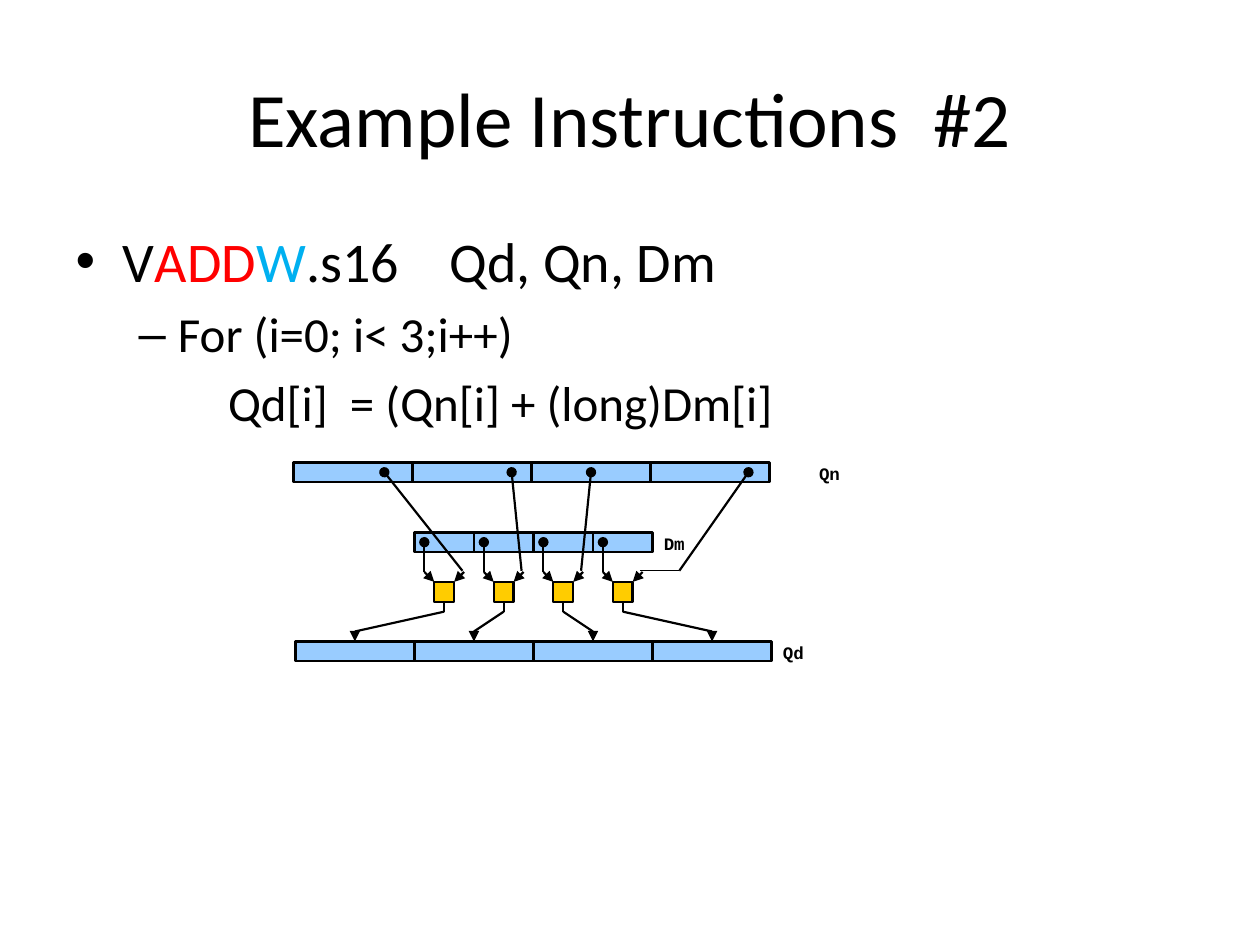
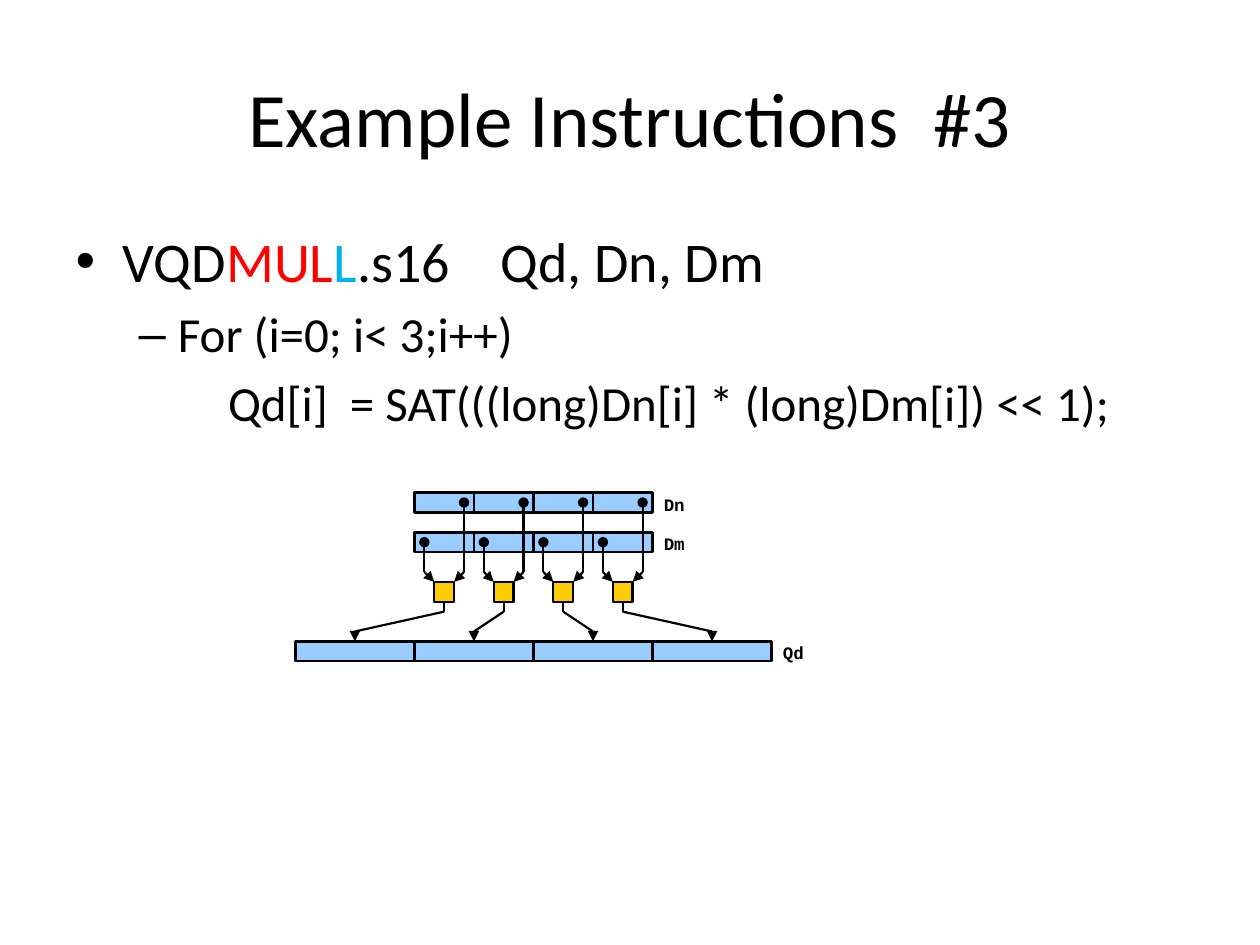
from lxml import etree
from pptx import Presentation
from pptx import util as u
from pptx.dml.color import RGBColor
from pptx.enum import shapes, text
from pptx.oxml import ns

BLACK = RGBColor(0x00, 0x00, 0x00)
RED = RGBColor(0xFF, 0x00, 0x00)
CYAN = RGBColor(0x00, 0xB0, 0xF0)
REGISTER_BLUE = RGBColor(0x99, 0xCC, 0xFF)
OPERATOR_GOLD = RGBColor(0xFF, 0xCC, 0x00)

HEADING_FONT = "Calibri"
CODE_FONT = "Courier New"

# The slide is 127 columns wide; rows are as high as columns are wide.
COLUMNS = 127
TITLE_AREA = (6.35, 3.81, 114.3, 15.88)
BODY_AREA = (6.35, 22.23, 114.3, 62.87)
DIAGRAM_LEFT, DIAGRAM_TOP = 29.77, 49.65

# Diagram measures, counted from the diagram's own corner
LANES = 4
NARROW, WIDE, HEIGHT = 6, 12, 2
NARROW_LEFT = 12
DN_ROW, DM_ROW, OPERATOR_ROW, QD_ROW = 0, 4, 9, 15
QN_LEFT, QN_ROW = -0.2, -3.05


def add_text(paragraph, content, font=HEADING_FONT, size=28, color=BLACK, bold=False):
    run = paragraph.add_run()
    run.text = content
    run.font.name = font
    run.font.size = u.Pt(size)
    run.font.color.rgb = color
    run.font.bold = bold


class Deck:
    """Holds the shared style and the slide being built."""

    def __init__(self):
        self.presentation = Presentation()
        self.presentation.slide_width = u.Inches(10)
        self.presentation.slide_height = u.Inches(7.5)
        self.unit = self.presentation.slide_width / COLUMNS
        self.slide = None

    def lengths(self, *cells):
        return [round(cell * self.unit) for cell in cells]

    def place(self, column, row):
        return self.lengths(DIAGRAM_LEFT + column, DIAGRAM_TOP + row)

    def move(self, shape, area):
        shape.left, shape.top, shape.width, shape.height = self.lengths(*area)

    def add_slide(self, title):
        layout = self.presentation.slide_layouts[1]
        self.slide = self.presentation.slides.add_slide(layout)
        shape = self.slide.shapes.title
        self.move(shape, TITLE_AREA)
        shape.text_frame.vertical_anchor = text.MSO_ANCHOR.MIDDLE
        paragraph = shape.text_frame.paragraphs[0]
        paragraph.alignment = text.PP_ALIGN.CENTER
        add_text(paragraph, title, size=44)

    def body(self, mnemonic, loop, statement):
        shape = self.slide.placeholders[1]
        self.move(shape, BODY_AREA)
        frame = shape.text_frame
        for content, color in mnemonic:
            add_text(frame.paragraphs[0], content, size=32, color=color)
        for content in (loop, statement):
            paragraph = frame.add_paragraph()
            paragraph.level = 1
            add_text(paragraph, content)
        # The statement is indented under the loop and has no bullet.
        properties = paragraph._p.get_or_add_pPr()
        properties.set("marL", str(u.Inches(1.21)))
        properties.set("indent", "0")
        etree.SubElement(properties, ns.qn("a:buNone"))

    def box(self, column, row, width, fill=REGISTER_BLUE, weight=1.5):
        shape = self.slide.shapes.add_shape(
            shapes.MSO_SHAPE.RECTANGLE, *self.place(column, row), *self.lengths(width, HEIGHT))
        shape.shadow.inherit = False
        shape.fill.solid()
        shape.fill.fore_color.rgb = fill
        shape.line.color.rgb = BLACK
        shape.line.width = u.Pt(weight)
        return shape

    def label(self, content, column, row):
        shape = self.slide.shapes.add_textbox(*self.place(column, row), *self.lengths(4.8, 2.8))
        frame = shape.text_frame
        frame.word_wrap = True
        frame.auto_size = text.MSO_AUTO_SIZE.SHAPE_TO_FIT_TEXT
        frame.margin_left = frame.margin_right = u.Inches(0.09)
        frame.margin_top = frame.margin_bottom = u.Inches(0.04)
        paragraph = frame.paragraphs[0]
        paragraph.line_spacing = 0.8
        add_text(paragraph, content, font=CODE_FONT, size=10, bold=True)

    def register(self, name, column, row, width, label_column=None):
        cells = [self.box(column + lane * width, row, width) for lane in range(LANES)]
        if label_column is None:
            label_column = column + LANES * width
        self.label(name, label_column, row)
        return cells

    def line(self, start, end, head=None, tail=None, weight=1.25):
        connector = self.slide.shapes.add_connector(
            shapes.MSO_CONNECTOR.STRAIGHT, *self.place(*start), *self.place(*end))
        connector.line.color.rgb = BLACK
        connector.line.width = u.Pt(weight)
        outline = connector.line._get_or_add_ln()
        for tag, kind in (("a:headEnd", head), ("a:tailEnd", tail)):
            if kind:
                etree.SubElement(outline, ns.qn(tag), type=kind)
        etree.SubElement(connector._element.spPr, ns.qn("a:effectLst"))
        return connector

    def lanes(self):
        """Draws Dm, the operators, Qd and the lines that every lane has."""
        self.register("Dm", NARROW_LEFT, DM_ROW, NARROW)
        results = self.register("Qd", 0, QD_ROW, WIDE)
        for lane, result in enumerate(results):
            left = NARROW_LEFT + 2 + lane * NARROW
            center, target = left + 1, WIDE * (lane + 0.5)
            operator = self.box(left, OPERATOR_ROW, HEIGHT, OPERATOR_GOLD, 1.25)
            # Inputs
            self.line((left - 1, DM_ROW + 1), (left - 1, 8), head="oval")
            self.line((left - 1, 8), (left, OPERATOR_ROW), tail="triangle")
            self.line((left + 3, 8), (left + 2, OPERATOR_ROW), tail="triangle")
            # Output
            self.line((center, 11), (center, 12)).begin_connect(operator, 2)
            self.line((center, 12), (target, 14))
            self.line((target, 14), (target, QD_ROW), tail="triangle").end_connect(result, 0)


def build_wide_add(deck):
    deck.add_slide("Example Instructions  #2")
    deck.body([("V", BLACK), ("ADD", RED), ("W", CYAN), (".s16    Qd, Qn, Dm", BLACK)],
              "For (i=0; i< 3;i++)", "Qd[i]  = (Qn[i] + (long)Dm[i]")
    deck.register("Qn", QN_LEFT, QN_ROW, WIDE, label_column=51.64)
    deck.lanes()
    # Wide operand lines; the last one bends into its operator
    bend_row = 7.88
    for start, end in ((8.97, 16.84), (21.8, 22.8), (29.8, 28.8), (45.67, 38.7)):
        deck.line((start, QN_ROW + 1), (end, bend_row), head="oval")
    deck.line((34.75, bend_row), (38.7, bend_row), weight=0.75)


def build_long_multiply(deck):
    deck.add_slide("Example Instructions  #3")
    deck.body([("VQD", BLACK), ("MUL", RED), ("L", CYAN), (".s16    Qd, Dn, Dm", BLACK)],
              "For (i=0; i< 3;i++)", "Qd[i]  = SAT(((long)Dn[i] * (long)Dm[i]) << 1);")
    deck.register("Dn", NARROW_LEFT, DN_ROW, NARROW)
    deck.lanes()
    # Second narrow operand
    for lane in range(LANES):
        column = NARROW_LEFT + 5 + lane * NARROW
        deck.line((column, DN_ROW + 1), (column, 8), head="oval")


def main():
    deck = Deck()
    build_wide_add(deck)
    build_long_multiply(deck)
    deck.presentation.save("out.pptx")


if __name__ == "__main__":
    main()
